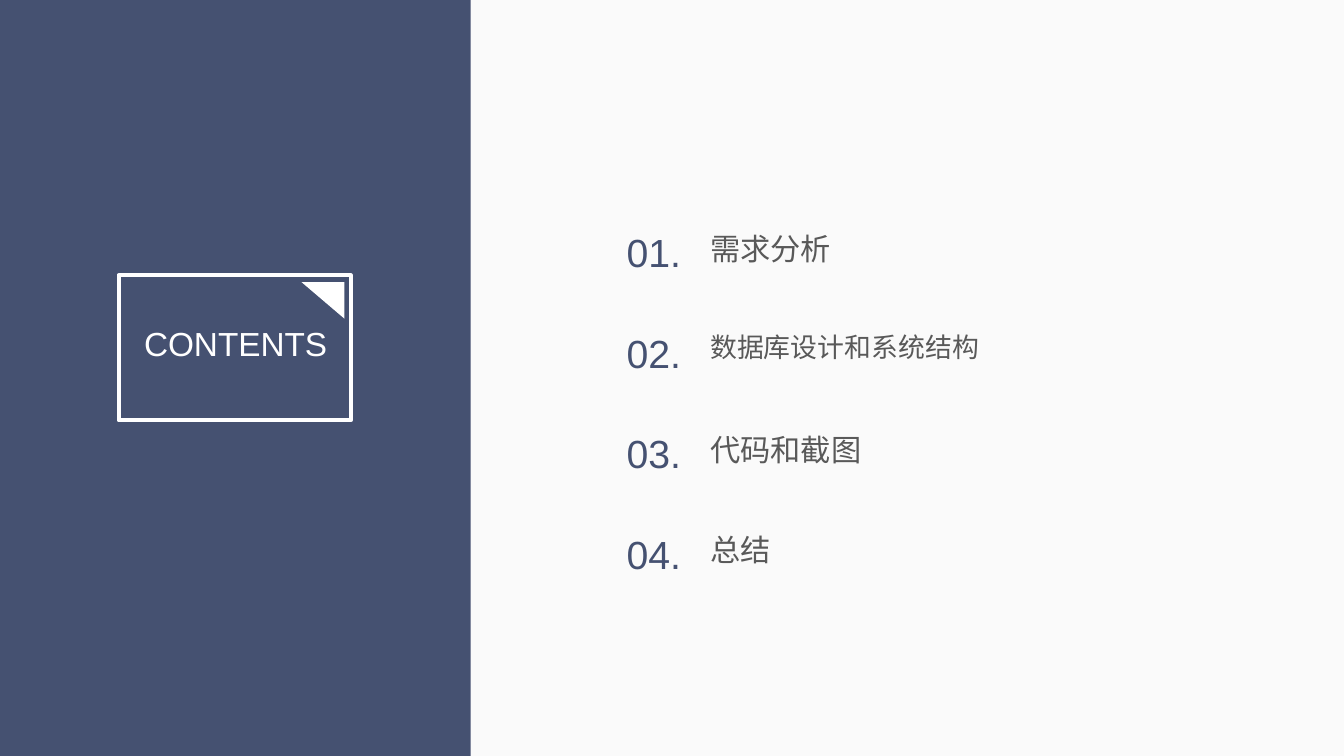
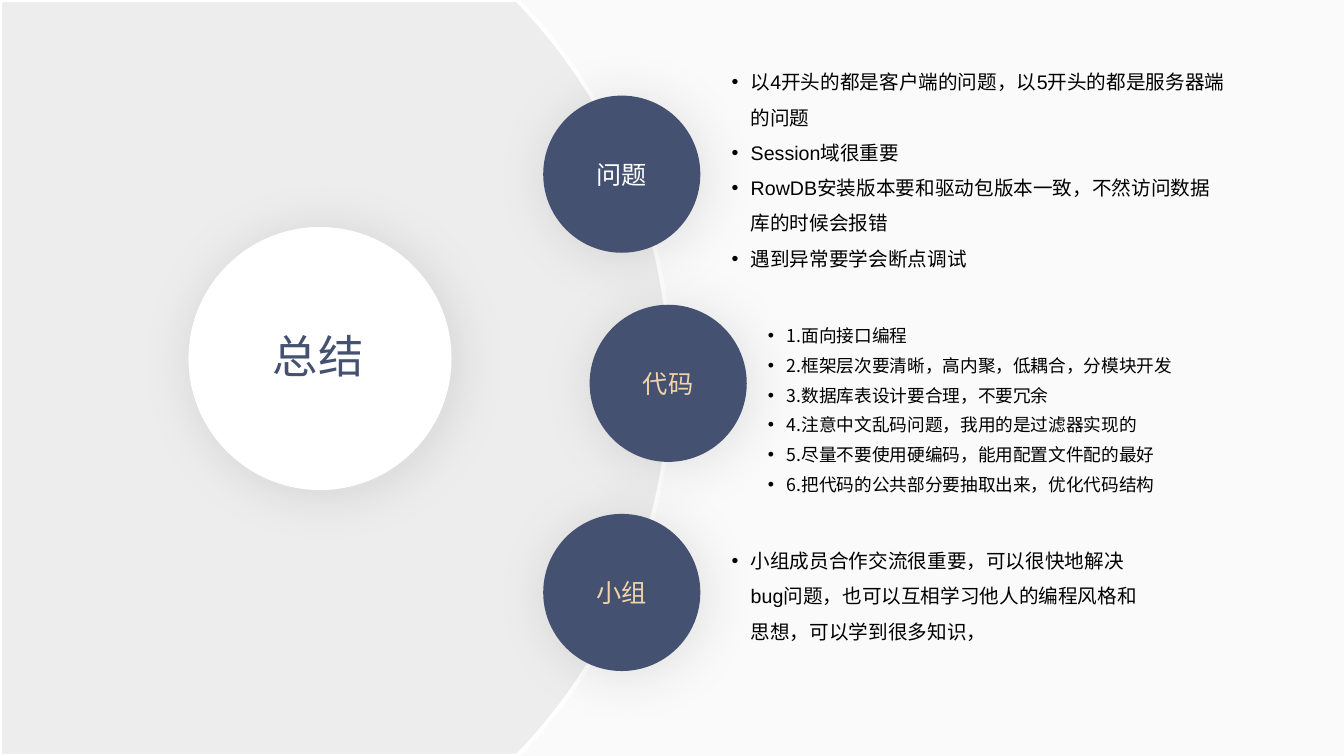
from dataclasses import dataclass
from math import asin, cos, sin

from lxml.etree import SubElement
from pptx import Presentation
from pptx.dml.color import RGBColor
from pptx.enum.shapes import MSO_SHAPE as Shape
from pptx.enum.text import MSO_ANCHOR as Anchor
from pptx.enum.text import MSO_AUTO_SIZE as AutoSize
from pptx.enum.text import PP_ALIGN as Align
from pptx.oxml.ns import qn
from pptx.util import Cm, Pt


@dataclass(frozen=True)
class Theme:
    latin: str = "Arial"
    cjk: str = "Noto Sans CJK SC"
    back: str = "FAFAFA"
    navy: str = "455171"
    white: str = "FFFFFF"
    disc: str = "EDEDED"
    label: str = "595959"
    sand: str = "F2D4AA"
    black: str = "000000"
    summary: float = 32.4
    number: float = 28
    contents: float = 23.8
    item: float = 21.6
    long_item: float = 19.2
    topic: float = 18
    body: float = 14
    dense: float = 12.6
    stroke: float = 3


T = Theme()
WIDTH, HEIGHT = 33.87, 19.05

AGENDA = [
    ("需求分析", T.item),
    ("数据库设计和系统结构", T.long_item),
    ("代码和截图", T.item),
    ("总结", T.item),
]

TOPICS = [
    ("问题", 13.69, T.white, (18.19, 1.35, 12.95, 5.03), [
        "以4开头的都是客户端的问题，以5开头的都是服务器端的问题",
        "Session域很重要",
        "RowDB安装版本要和驱动包版本一致，不然访问数据库的时候会报错",
        "遇到异常要学会断点调试",
    ], dict(size=T.body, spacing=1.5)),
    ("代码", 14.86, T.sand, (19.1, 7.86, 11.4, 5.1), [
        "1.面向接口编程",
        "2.框架层次要清晰，高内聚，低耦合，分模块开发",
        "3.数据库表设计要合理，不要冗余",
        "4.注意中文乱码问题，我用的是过滤器实现的",
        "5.尽量不要使用硬编码，能用配置文件配的最好",
        "6.把代码的公共部分要抽取出来，优化代码结构",
    ], dict(size=T.dense, spacing=1.4, font=T.cjk)),
    ("小组", 13.69, T.sand, (18.19, 13.41, 10.82, 3.89), [
        "小组成员合作交流很重要，可以很快地解决bug问题，"
        "也可以互相学习他人的编程风格和思想，可以学到很多知识，",
    ], dict(size=T.body, spacing=1.5)),
]


def rgb(color):
    return RGBColor.from_string(color)


def add_bullet(p):
    pPr = p._p.get_or_add_pPr()
    pPr.set("marL", str(Cm(0.48)))
    pPr.set("indent", str(-Cm(0.48)))
    SubElement(pPr, qn("a:buFont"), typeface=T.latin)
    SubElement(pPr, qn("a:buChar"), char="•")


def write(tf, *lines, size, color=T.black, font=T.latin, align=Align.LEFT,
          anchor=Anchor.TOP, spacing=None, bullet=False):
    tf.word_wrap = True
    tf.auto_size = AutoSize.NONE
    tf.vertical_anchor = anchor
    for i, line in enumerate(lines):
        p = tf.add_paragraph() if i else tf.paragraphs[0]
        p.alignment = align
        if spacing:
            p.line_spacing = spacing
        if bullet:
            add_bullet(p)
        r = p.add_run()
        r.text = line
        r.font.size = Pt(size)
        r.font.color.rgb = rgb(color)
        r.font.name = font
        SubElement(r._r.get_or_add_rPr(), qn("a:ea"), typeface=T.cjk)


def add_text(s, box, *lines, **style):
    sp = s.shapes.add_textbox(*map(Cm, box))
    write(sp.text_frame, *lines, **style)


def place_title(s, box, text, **style):
    sp = s.shapes.title
    sp.left, sp.top, sp.width, sp.height = map(Cm, box)
    write(sp.text_frame, text, align=Align.CENTER, **style)
    sp.element.getparent().append(sp.element)


def paint(sp, fill=None, line=None):
    sp.shadow.inherit = False
    if fill:
        sp.fill.solid()
        sp.fill.fore_color.rgb = rgb(fill)
    else:
        sp.fill.background()
    if line:
        sp.line.color.rgb = rgb(line)
        sp.line.width = Pt(T.stroke)
    else:
        sp.line.fill.background()


def add_shape(s, kind, box, **colors):
    sp = s.shapes.add_shape(kind, *map(Cm, box))
    paint(sp, **colors)
    return sp


def add_circle(s, left, top, diameter, fill):
    sp = add_shape(s, Shape.OVAL, (left, top, diameter, diameter), fill=fill)
    effects = sp.element.spPr.find(qn("a:effectLst"))
    shadow = SubElement(effects, qn("a:outerShdw"), blurRad=str(Pt(40)),
                        dist=str(Pt(4)), dir=str(45 * 60000),
                        algn="ctr", rotWithShape="0")
    tint = SubElement(shadow, qn("a:srgbClr"), val=T.black)
    SubElement(tint, qn("a:alpha"), val="11000")
    return sp


def add_disc(s, center_x, radius, steps=120):
    middle = HEIGHT / 2
    reach = asin(middle / radius)
    angles = [reach * (2 * i / steps - 1) for i in range(steps + 1)]
    arc = [(Cm(center_x + radius * cos(a)), Cm(middle + radius * sin(a)))
           for a in angles]
    builder = s.shapes.build_freeform(0, 0)
    builder.add_line_segments(arc + [(0, Cm(HEIGHT))], close=True)
    paint(builder.convert_to_shape(), fill=T.disc, line=T.white)


def build_contents(s):
    add_shape(s, Shape.RECTANGLE, (0, 0, 11.86, HEIGHT), fill=T.navy)
    add_shape(s, Shape.RECTANGLE, (2.99, 6.94, 5.85, 3.65), line=T.white)
    corner = add_shape(s, Shape.ISOSCELES_TRIANGLE, (7.6, 7.11, 1.08, 0.92),
                       fill=T.white)
    corner.adjustments[0] = 0
    corner.rotation = 180
    for i, (label, size) in enumerate(AGENDA):
        offset = 2.53 * i
        add_text(s, (15.54, 5.64 + offset, 1.91, 1.44), f"{i + 1:02}.",
                 size=T.number, color=T.navy)
        add_text(s, (17.65, 5.68 + offset, 8.2, 1.27), label,
                 size=size, color=T.label)
    place_title(s, (3.36, 8.02, 5.15, 1.44), "CONTENTS",
                size=T.contents, color=T.white)


def build_summary(s):
    add_disc(s, center_x=3.23, radius=13.67)
    add_circle(s, 4.75, 5.72, 6.63, T.white)
    for i, (topic, left, color, box, points, style) in enumerate(TOPICS):
        sp = add_circle(s, left, 2.41 + 5.27 * i, 3.96, T.navy)
        write(sp.text_frame, topic, size=T.topic, color=color,
              align=Align.CENTER, anchor=Anchor.MIDDLE)
        add_text(s, box, *points, bullet=True, **style)
    place_title(s, (4.75, 8.15, 6.53, 1.8), "总结",
                size=T.summary, color=T.navy)


def main():
    prs = Presentation()
    prs.slide_width, prs.slide_height = Cm(WIDTH), Cm(HEIGHT)
    back = prs.slide_master.background.fill
    back.solid()
    back.fore_color.rgb = rgb(T.back)
    title_only = prs.slide_layouts.get_by_name("Title Only")
    for build in (build_contents, build_summary):
        build(prs.slides.add_slide(title_only))
    prs.save("out.pptx")


if __name__ == "__main__":
    main()
